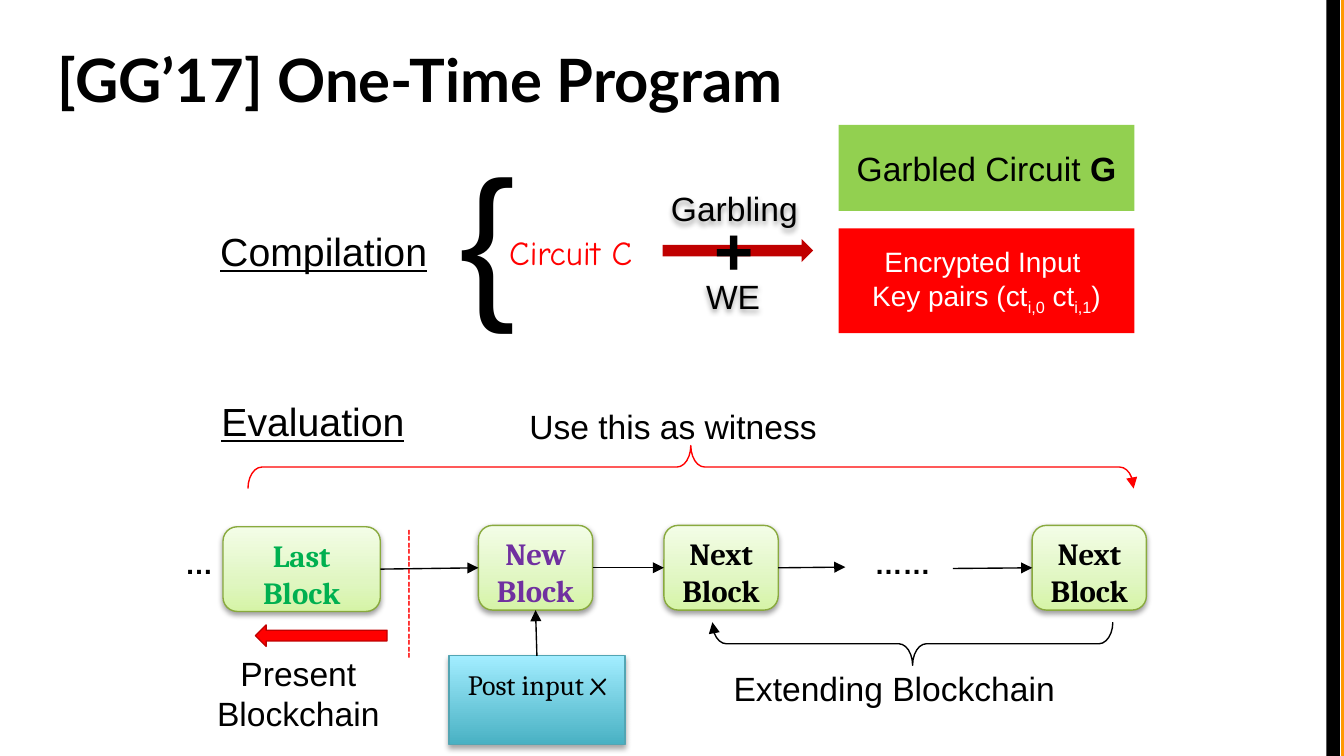
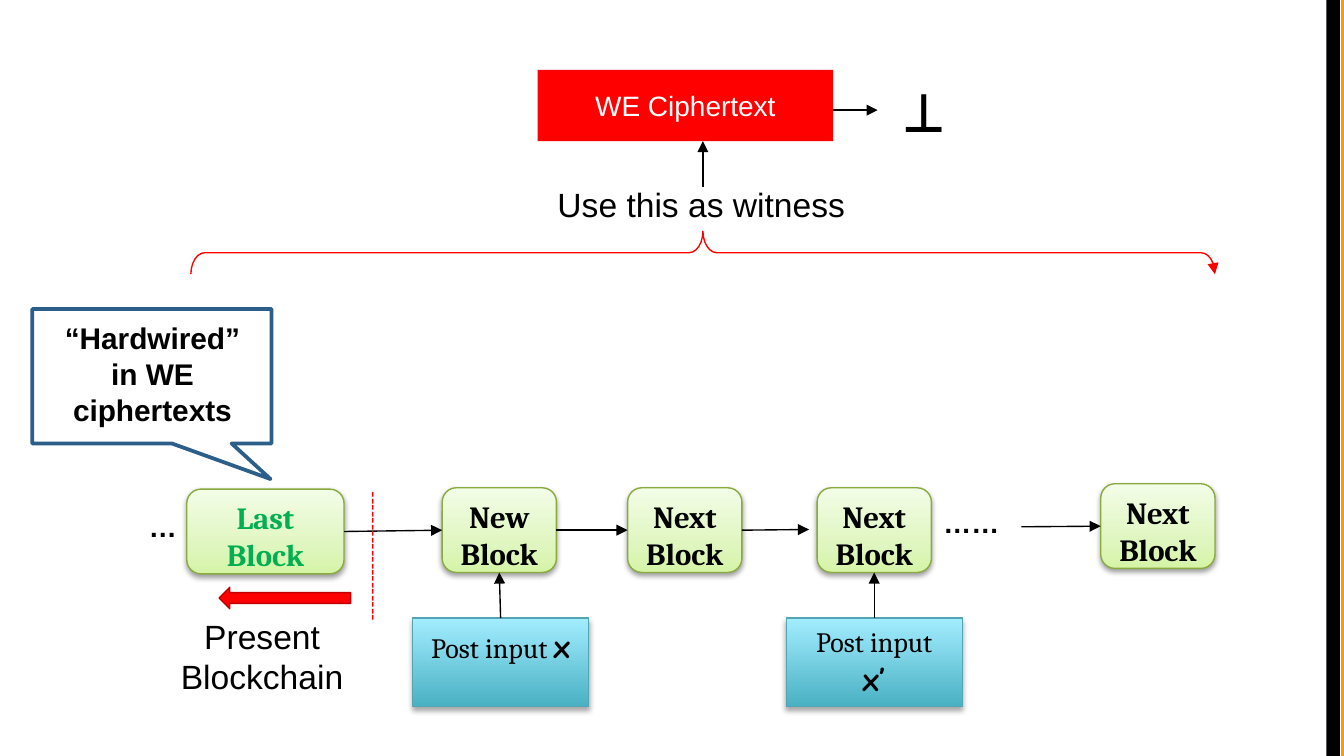
from dataclasses import dataclass
from typing import NamedTuple

import lxml.etree
import pptx
import pptx.dml.color
import pptx.enum.shapes
import pptx.enum.text
import pptx.oxml.ns
import pptx.util

Inches = pptx.util.Inches
Pt = pptx.util.Pt
SHAPE = pptx.enum.shapes.MSO_SHAPE
ALIGN = pptx.enum.text.PP_ALIGN
ANCHOR = pptx.enum.text.MSO_ANCHOR
qn = pptx.oxml.ns.qn

SLIDE_W = 10
SLIDE_H = SLIDE_W * 9 / 16
BLOCK_W, BLOCK_H = 0.85, 0.63


class Box(NamedTuple):
    x: float
    y: float
    w: float
    h: float


class Style(NamedTuple):
    size: float
    color: str = "000000"
    font: str = "Arial"
    bold: bool = False
    underline: bool = False
    baseline: int = 0


class Gradient(NamedTuple):
    stops: tuple
    line: str


class Shadow(NamedTuple):
    alpha: int
    blur: float
    dist: float


@dataclass(frozen=True)
class Theme:
    black: str = "000000"
    orange: str = "FF9900"
    red: str = "FF0000"
    dark_red: str = "C00000"
    lime: str = "92D050"
    callout: str = "2B5F8A"
    last: str = "00B050"
    new: str = "7030A0"
    hair: float = 0.75
    block: Gradient = Gradient(
        ((0, "D5F4A6"), (35, "E0F6C1"), (100, "F3FDE7")), "89AA3E")
    post: Gradient = Gradient(((0, "49B1C3"), (100, "A2EDFF")), "53A5B3")
    block_shadow: Shadow = Shadow(38, 3.1, 1.6)
    post_shadow: Shadow = Shadow(35, 3.1, 1.8)
    title: Style = Style(32, font="Lato", bold=True)
    heading: Style = Style(21, underline=True)
    label: Style = Style(18)
    brace: Style = Style(90)
    plus: Style = Style(36, bold=True)
    dots: Style = Style(15, bold=True)
    note: Style = Style(16, bold=True)
    dashes: Style = Style(10.5, "FF0000")
    cipher: Style = Style(15, "FFFFFF")
    block_text: Style = Style(16.5, font="Cambria", bold=True)
    post_text: Style = Style(15, font="Cambria")
    hand: Style = Style(18, font="Comic Neue")
    hand_bold: Style = Style(18, font="Comic Neue", bold=True)
    circuit: Style = Style(18, "FF0000", "Comic Neue")
    bottom: Style = Style(30, font="Comic Neue", bold=True)


T = Theme()


def rgb(value: str):
    return pptx.dml.color.RGBColor.from_string(value)


def apply(obj, **fmt) -> None:
    for name, value in fmt.items():
        setattr(obj, name, value)


def lengths(box: Box) -> list:
    return [Inches(v) for v in box]


# Text: each line is a list of (text, style) runs
def write(tf, lines: list, align=ALIGN.LEFT) -> None:
    for i, runs in enumerate(lines):
        p = tf.paragraphs[0] if i == 0 else tf.add_paragraph()
        p.alignment = align
        for text, style in runs:
            r = p.add_run()
            r.text = text
            apply(r.font, name=style.font, size=Pt(style.size),
                  bold=style.bold, underline=style.underline)
            r.font.color.rgb = rgb(style.color)
            if style.baseline:
                r._r.get_or_add_rPr().set("baseline", str(style.baseline * 1000))


def add_text(slide, box: Box, lines: list, align=ALIGN.LEFT,
             wrap: bool = False, rotation: float = 0) -> None:
    sp = slide.shapes.add_textbox(*lengths(box))
    sp.rotation = rotation
    apply(sp.text_frame, word_wrap=wrap,
          auto_size=pptx.enum.text.MSO_AUTO_SIZE.SHAPE_TO_FIT_TEXT)
    write(sp.text_frame, lines, align)


# Shapes
def add_shadow(sp, shadow: Shadow) -> None:
    effects = sp._element.spPr.find(qn("a:effectLst"))
    outer = lxml.etree.SubElement(
        effects, qn("a:outerShdw"), blurRad=str(Pt(shadow.blur)),
        dist=str(Pt(shadow.dist)), dir="5400000", rotWithShape="0")
    color = lxml.etree.SubElement(outer, qn("a:srgbClr"), val=T.black)
    lxml.etree.SubElement(color, qn("a:alpha"), val=str(shadow.alpha * 1000))


def add_gradient(sp, gradient: Gradient) -> None:
    sp.fill.gradient()
    sp.fill.gradient_angle = 90
    stops = sp._element.spPr.find(".//" + qn("a:gsLst"))
    for stop in list(stops):
        stops.remove(stop)
    for position, color in gradient.stops:
        gs = lxml.etree.SubElement(stops, qn("a:gs"), pos=str(position * 1000))
        lxml.etree.SubElement(gs, qn("a:srgbClr"), val=color)


def add_shape(slide, kind, box: Box, fill=None, line=None, width: float = T.hair,
              lines=(), anchor=ANCHOR.MIDDLE, shadow=None):
    sp = slide.shapes.add_shape(kind, *lengths(box))
    sp.shadow.inherit = False
    if isinstance(fill, Gradient):
        add_gradient(sp, fill)
        line = fill.line
    elif fill:
        sp.fill.solid()
        sp.fill.fore_color.rgb = rgb(fill)
    else:
        sp.fill.background()
    if line:
        sp.line.color.rgb = rgb(line)
        sp.line.width = Pt(width)
    else:
        sp.line.fill.background()
    if shadow:
        add_shadow(sp, shadow)
    sp.text_frame.vertical_anchor = anchor
    write(sp.text_frame, lines, ALIGN.CENTER)
    return sp


def add_arrowhead(sp) -> None:
    ln = sp._element.spPr.find(qn("a:ln"))
    lxml.etree.SubElement(ln, qn("a:tailEnd"), type="triangle")


def add_brace(slide, box: Box, rotation: float, color: str) -> None:
    sp = add_shape(slide, SHAPE.RIGHT_BRACE, box, line=color)
    sp.rotation = rotation
    sp.adjustments[0], sp.adjustments[1] = 0.324, 0.5
    add_arrowhead(sp)


def add_arrow(slide, start: tuple, end: tuple) -> None:
    """Each end is an (x, y) point or a (shape, site) pair."""
    points = [(0, 0) if hasattr(e[0], "shape_id") else e for e in (start, end)]
    cx = slide.shapes.add_connector(
        pptx.enum.shapes.MSO_CONNECTOR.STRAIGHT,
        *[Inches(v) for point in points for v in point])
    for e, join in ((start, cx.begin_connect), (end, cx.end_connect)):
        if hasattr(e[0], "shape_id"):
            join(*e)
    cx.line.color.rgb = rgb(T.black)
    cx.line.width = Pt(T.hair)
    add_arrowhead(cx)
    lxml.etree.SubElement(cx._element.spPr, qn("a:effectLst"))


# Blockchain parts
def add_block(slide, x: float, y: float, word: str = "Next",
              color: str = T.black, w: float = BLOCK_W):
    style = T.block_text._replace(color=color)
    sp = add_shape(slide, SHAPE.ROUNDED_RECTANGLE, Box(x, y, w, BLOCK_H), T.block,
                   lines=[[(word, style)], [("Block", style)]],
                   anchor=ANCHOR.TOP, shadow=T.block_shadow)
    apply(sp.text_frame, margin_left=Inches(0.07), margin_right=Inches(0.07),
          margin_top=Inches(0.04), margin_bottom=Inches(0.04))
    return sp


def add_post(slide, x: float, y: float, lines: list, block) -> None:
    sp = add_shape(slide, SHAPE.RECTANGLE, Box(x, y, 1.31, 0.66), T.post,
                   lines=lines, anchor=ANCHOR.TOP, shadow=T.post_shadow)
    add_arrow(slide, (sp, 0), (block, 2))


def add_chain_start(slide, x: float, y: float, new_color: str,
                    input_style: Style) -> None:
    """Chain from the leading dots at x, y to the first next block."""
    add_text(slide, Box(x, y, 0.41, 0.35), [[("…", T.dots)]])
    last = add_block(slide, x + 0.38, y - 0.1, "Last", T.last, 1.17)
    new = add_block(slide, x + 2.28, y - 0.11, "New", new_color)
    following = add_block(slide, x + 3.66, y - 0.11)
    add_arrow(slide, (last, 3), (new, 1))
    add_arrow(slide, (new, 3), (following, 1))
    add_arrow(slide, (following, 3), (x + 5.01, y + 0.2))
    add_post(slide, x + 2.06, y + 0.86,
             [[("Post input ", T.post_text), ("x", input_style)]], new)
    add_text(slide, Box(x + 1.19, y + 0.27, 1.18, 0.28),
             [[("-" * 20, T.dashes)]], rotation=90)
    add_shape(slide, SHAPE.LEFT_ARROW, Box(x + 0.62, y + 0.63, 0.98, 0.16),
              T.red, T.dark_red)
    add_text(slide, Box(x + 0.23, y + 0.79, 1.42, 0.71),
             [[("Present", T.label)], [("Blockchain", T.label)]], ALIGN.CENTER)


def add_chain_end(slide, x: float, y: float) -> None:
    add_text(slide, Box(x, y, 0.62, 0.35), [[("……", T.dots)]])
    block = add_block(slide, x + 1.27, y - 0.11)
    add_arrow(slide, (x + 0.68, y + 0.21), (block, 1))


def add_witness(slide, x: float, y: float, brace: Box) -> None:
    add_text(slide, Box(x, y, 2.36, 0.4), [[("Use this as witness", T.label)]])
    add_brace(slide, brace, 270, T.red)


def new_slide(prs, layout: int):
    slide = prs.slides.add_slide(prs.slide_layouts[layout])
    for x, color in ((9.98, T.orange), (9.87, T.black)):
        add_shape(slide, SHAPE.RECTANGLE, Box(x, 0, 0.1, SLIDE_H), color)
    return slide


def build_program(prs) -> None:
    slide = new_slide(prs, 5)
    title = slide.shapes.title
    left, top, width, height = lengths(Box(0.33, 0.26, 9, 0.69))
    apply(title, left=left, top=top, width=width, height=height)
    margin = Inches(0.1)
    apply(title.text_frame, vertical_anchor=ANCHOR.BOTTOM, margin_left=margin,
          margin_right=margin, margin_top=margin, margin_bottom=margin)
    write(title.text_frame, [[("[GG’17] One-Time Program", T.title)]])

    # Compilation
    add_shape(slide, SHAPE.RIGHT_ARROW, Box(4.93, 1.78, 1.12, 0.17), T.dark_red)
    for box, word in ((Box(4.83, 1.37, 1.27, 0.36), "Garbling"),
                      (Box(4.67, 2.02, 1.57, 0.36), "WE")):
        add_shape(slide, SHAPE.ROUNDED_RECTANGLE, box,
                  lines=[[(word, T.label)]], shadow=T.block_shadow)
    for box, word, style in (
            (Box(1.54, 1.64, 1.75, 0.45), "Compilation", T.heading),
            (Box(1.55, 2.91, 1.57, 0.45), "Evaluation", T.heading),
            (Box(3.32, 0.93, 0.62, 1.62), "{", T.brace),
            (Box(5.22, 1.5, 0.46, 0.71), "+", T.plus),
            (Box(3.69, 1.68, 1.21, 0.4), "Circuit C", T.circuit),
            (Box(5.36, 4.92, 2.61, 0.4), "Extending Blockchain", T.label)):
        add_text(slide, box, [[(word, style)]])
    add_shape(slide, SHAPE.RECTANGLE, Box(6.24, 0.93, 2.2, 0.64), T.lime,
              lines=[[("Garbled Circuit ", T.label),
                      ("G", T.label._replace(bold=True))]])
    sub = T.cipher._replace(baseline=-25)
    add_shape(slide, SHAPE.RECTANGLE, Box(6.24, 1.7, 2.2, 0.78), T.red,
              lines=[[("Encrypted Input ", T.cipher)],
                     [("Key pairs (ct", T.cipher), ("i,0", sub),
                      (" ct", T.cipher), ("i,1", sub), (")", T.cipher)]])

    # Evaluation
    add_chain_start(slide, 1.28, 4.02, T.new, T.hand)
    add_chain_end(slide, 6.41, 4.02)
    add_brace(slide, Box(6.63, 3.3, 0.32, 2.98), 90, T.black)
    add_witness(slide, 3.84, 2.97, Box(4.98, 0.18, 0.32, 6.59))


def build_witness(prs) -> None:
    slide = new_slide(prs, 6)
    # Chain with a second posted input
    add_chain_start(slide, 1.01, 3.74, T.black, T.hand_bold)
    add_chain_end(slide, 6.92, 3.71)
    block = add_block(slide, 6.08, 3.63)
    add_post(slide, 5.85, 4.6,
             [[("Post input", T.post_text)], [("x’", T.hand_bold)]], block)

    # Witness and ciphertext
    add_witness(slide, 4.05, 1.32, Box(5.07, -1.93, 0.32, 7.62))
    add_shape(slide, SHAPE.RECTANGLE, Box(4, 0.52, 2.2, 0.53), T.red,
              lines=[[("WE Ciphertext", T.cipher)]])
    add_arrow(slide, (5.23, 1.39), (5.23, 1.05))
    add_arrow(slide, (6.2, 0.82), (6.53, 0.82))
    add_text(slide, Box(6.64, 0.52, 0.52, 0.61), [[("⟂", T.bottom)]], wrap=True)

    # Callout
    callout = add_shape(slide, SHAPE.RECTANGULAR_CALLOUT, Box(0.24, 2.3, 1.78, 1),
                        line=T.callout, width=2)
    callout.adjustments[0], callout.adjustments[1] = 0.496, 0.765
    add_text(slide, Box(0.35, 2.33, 1.57, 0.91),
             [[("“Hardwired” in WE ciphertexts", T.note)]], ALIGN.CENTER, wrap=True)


def main() -> None:
    prs = pptx.Presentation()
    apply(prs, slide_width=Inches(SLIDE_W), slide_height=Inches(SLIDE_H))
    build_program(prs)
    build_witness(prs)
    prs.save("out.pptx")


if __name__ == "__main__":
    main()
